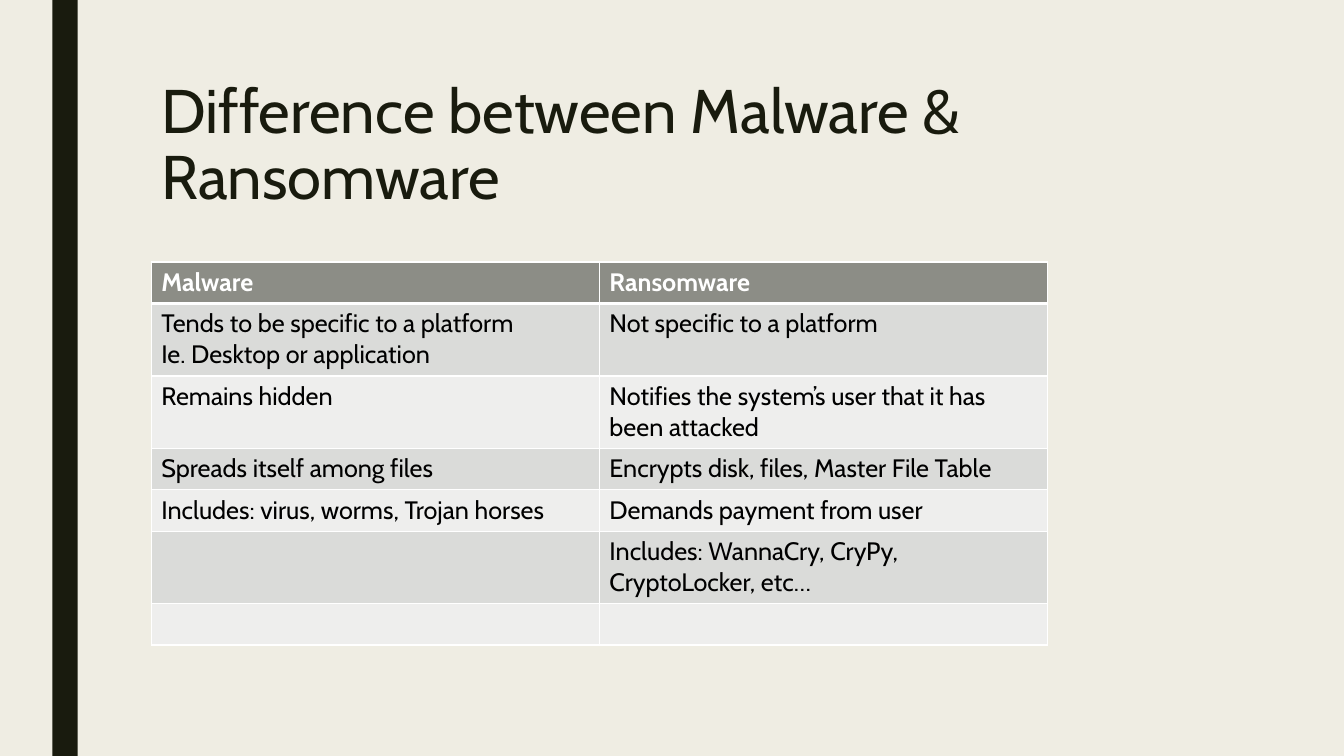
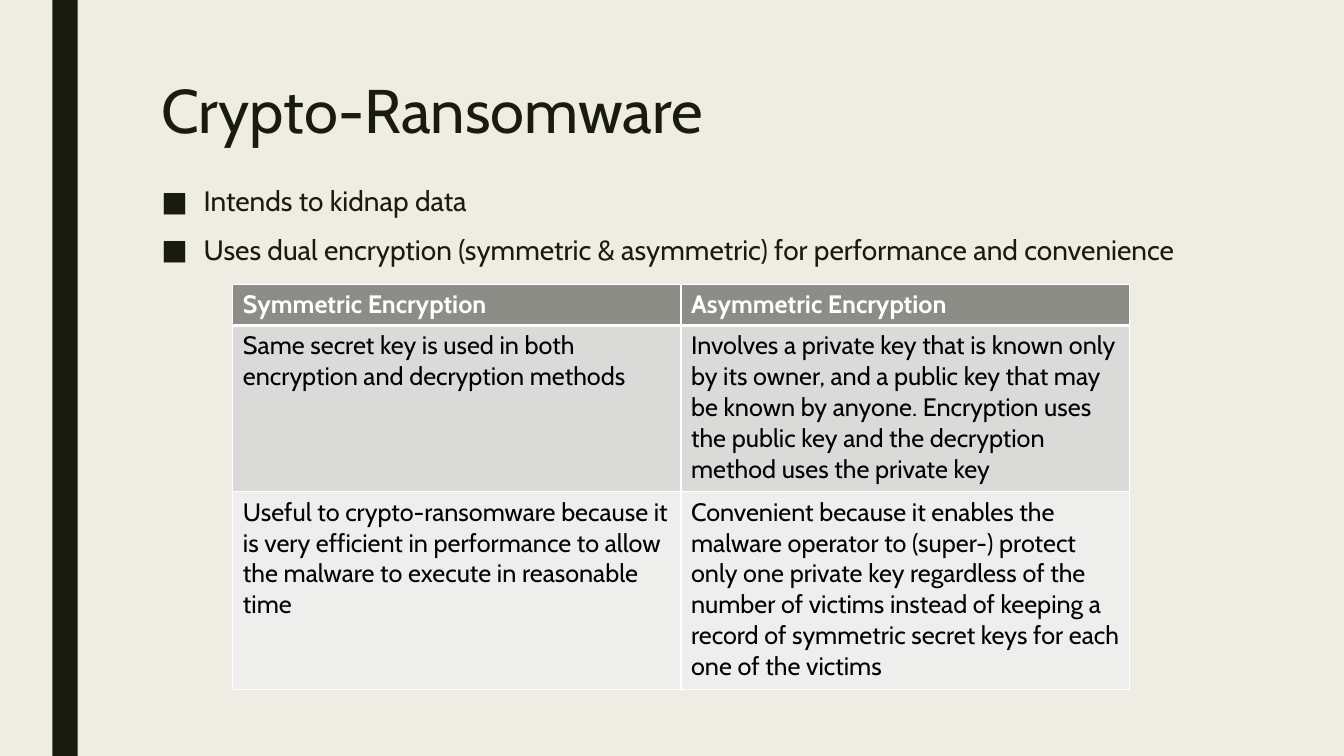
"""Build two slides that compare malware, ransomware and encryption types."""
from lxml.etree import SubElement
from pptx import Presentation
from pptx.dml.color import RGBColor
from pptx.enum.shapes import MSO_SHAPE
from pptx.enum.text import MSO_ANCHOR, MSO_AUTO_SIZE, PP_ALIGN
from pptx.oxml.ns import qn
from pptx.util import Inches, Pt

INK = RGBColor(0x19, 0x1B, 0x0E)
PAPER = RGBColor(0xEF, 0xED, 0xE3)
HEADER = RGBColor(0x8C, 0x8D, 0x86)
BANDS = (RGBColor(0xDA, 0xDB, 0xD9), RGBColor(0xEE, 0xEE, 0xED))
WHITE = RGBColor(0xFF, 0xFF, 0xFF)
BLACK = RGBColor(0x00, 0x00, 0x00)

FONT = "Cabin"
TITLE_BOX = (1.5, 0.75, 10.5, 1.62)
BODY_BOX = (1.5, 1.8, 10.5, 4.61)
SIDE_BAND = (0.52, 0, 0.25, 7.5)
TABLE_WIDTH = 8.89
LINE_HEIGHT, CELL_PADDING = 0.31, 0.1
BULLET_INDENT = 0.42

TITLE_FONT = {"name": FONT, "size": Pt(44), "bold": False}
BODY_FONT = {"name": FONT, "size": Pt(20), "bold": False}
HEADER_FONT = {"name": FONT, "size": Pt(18), "bold": True}
CELL_FONT = {"name": FONT, "size": Pt(18), "bold": False}
TITLE_FORMAT = {"alignment": PP_ALIGN.LEFT, "line_spacing": 0.89}
BODY_FORMAT = {"alignment": PP_ALIGN.LEFT, "line_spacing": 0.94, "space_after": Pt(2)}

SLIDES = [
    {
        "layout": 5,
        "title": "Difference between Malware & Ransomware",
        "bullets": [],
        "table_at": (1.5, 2.6),
        "row_lines": (1, 2, 2, 1, 1, 2, 1),
        "rows": [
            ("Malware", "Ransomware"),
            ("Tends to be specific to a platform\nIe. Desktop or application",
             "Not specific to a platform"),
            ("Remains hidden", "Notifies the system’s user that it has been attacked"),
            ("Spreads itself among files", "Encrypts disk, files, Master File Table"),
            ("Includes: virus, worms, Trojan horses", "Demands payment from user"),
            ("", "Includes: WannaCry, CryPy, CryptoLocker, etc…"),
            ("", ""),
        ],
    },
    {
        "layout": 1,
        "title": "Crypto-Ransomware",
        "bullets": [
            "Intends to kidnap data",
            "Uses dual encryption (symmetric & asymmetric) for performance and convenience",
        ],
        "table_at": (2.31, 2.82),
        "row_lines": (1, 5, 6),
        "rows": [
            ("Symmetric Encryption", "Asymmetric Encryption"),
            ("Same secret key is used in both encryption and decryption methods",
             "Involves a private key that is known only by its owner, and a public key that "
             "may be known by anyone. Encryption uses the public key and the decryption "
             "method uses the private key"),
            ("Useful to crypto-ransomware because it is very efficient in performance to "
             "allow the malware to execute in reasonable time",
             "Convenient because it enables the malware operator to (super-) protect only "
             "one private key regardless of the number of victims instead of keeping a "
             "record of symmetric secret keys for each one of the victims"),
        ],
    },
]


def apply(target, values):
    for name, value in values.items():
        setattr(target, name, value)


def style_text(frame, font, color):
    for paragraph in frame.paragraphs:
        for span in paragraph.runs:
            apply(span.font, font)
            span.font.color.rgb = color


def place(box, bounds):
    box.left, box.top, box.width, box.height = map(Inches, bounds)
    apply(box.text_frame, {"auto_size": MSO_AUTO_SIZE.NONE, "word_wrap": True,
                           "vertical_anchor": MSO_ANCHOR.TOP})


def style_master(deck, page):
    """Give the master its background and move the side band into it."""
    master = deck.slide_master
    master.background.fill.solid()
    master.background.fill.fore_color.rgb = PAPER
    band = page.shapes.add_shape(MSO_SHAPE.RECTANGLE, *map(Inches, SIDE_BAND))
    band.shadow.inherit = False
    band.fill.solid()
    band.fill.fore_color.rgb = INK
    band.line.fill.background()
    master.shapes.element.insert(2, band.element)


def add_title(page, text):
    title = page.shapes.title
    place(title, TITLE_BOX)
    title.text_frame.text = text
    apply(title.text_frame.paragraphs[0], TITLE_FORMAT)
    style_text(title.text_frame, TITLE_FONT, INK)


def add_bullets(page, lines):
    body = page.placeholders[1]
    place(body, BODY_BOX)
    body.text_frame.text = "\n".join(lines)
    for index, paragraph in enumerate(body.text_frame.paragraphs):
        properties = paragraph._p.get_or_add_pPr()
        properties.set("marL", str(Inches(BULLET_INDENT)))
        properties.set("indent", str(-Inches(BULLET_INDENT)))
        SubElement(properties, qn("a:buFont"), typeface=FONT)
        SubElement(properties, qn("a:buChar"), char="■")
        apply(paragraph, BODY_FORMAT)
        paragraph.space_before = Pt(10 if index else 0)
    style_text(body.text_frame, BODY_FONT, INK)


def set_borders(cell, row_index):
    """Draw white cell borders, thicker below the header row."""
    widths = {"lnL": 1, "lnR": 1, "lnT": 3 if row_index == 1 else 1,
              "lnB": 3 if row_index == 0 else 1}
    properties = cell._tc.get_or_add_tcPr()
    for side, width in widths.items():
        line = SubElement(properties, qn(f"a:{side}"), w=str(Pt(width)))
        SubElement(SubElement(line, qn("a:solidFill")), qn("a:srgbClr"), val=str(WHITE))


def add_comparison(page, rows, row_lines, corner):
    heights = [Inches(CELL_PADDING + LINE_HEIGHT * count) for count in row_lines]
    frame = page.shapes.add_table(len(rows), len(rows[0]), *map(Inches, corner),
                                  Inches(TABLE_WIDTH), sum(heights))
    table = frame.table
    table.horz_banding = False
    for row_index, texts in enumerate(rows):
        table.rows[row_index].height = heights[row_index]
        is_header = row_index == 0
        for column_index, text in enumerate(texts):
            cell = table.cell(row_index, column_index)
            cell.text = text
            set_borders(cell, row_index)
            cell.fill.solid()
            cell.fill.fore_color.rgb = HEADER if is_header else BANDS[(row_index - 1) % 2]
            style_text(cell.text_frame, HEADER_FONT if is_header else CELL_FONT,
                       WHITE if is_header else BLACK)


def main():
    deck = Presentation()
    deck.slide_width, deck.slide_height = Inches(13.33), Inches(7.5)
    for content in SLIDES:
        page = deck.slides.add_slide(deck.slide_layouts[content["layout"]])
        add_title(page, content["title"])
        if content["bullets"]:
            add_bullets(page, content["bullets"])
        add_comparison(page, content["rows"], content["row_lines"], content["table_at"])
    style_master(deck, deck.slides[0])
    deck.save("out.pptx")


if __name__ == "__main__":
    main()
